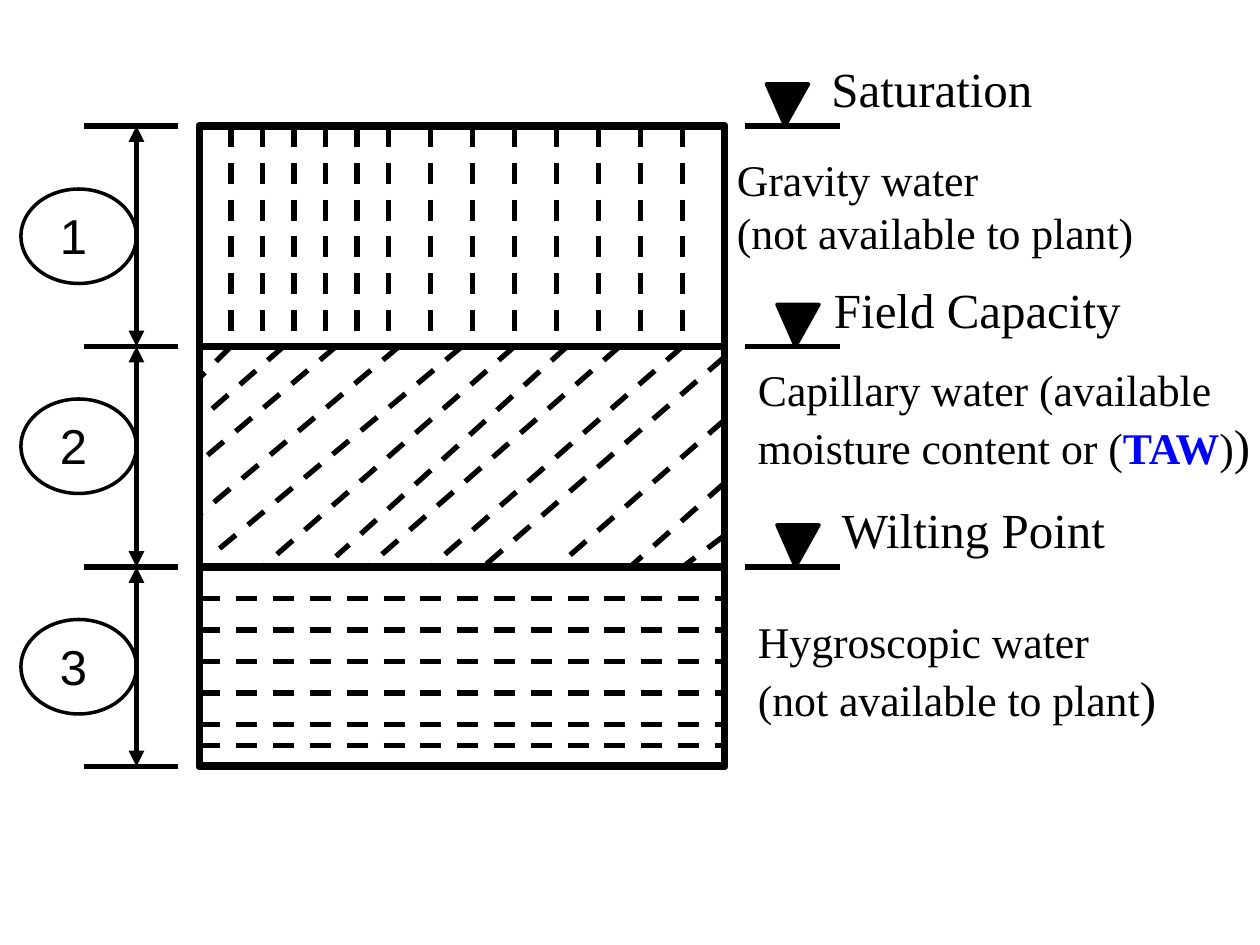
from lxml import etree
from pptx import Presentation
from pptx.dml.color import RGBColor
from pptx.enum.dml import MSO_LINE
from pptx.enum.shapes import MSO_CONNECTOR, MSO_SHAPE
from pptx.enum.text import PP_ALIGN
from pptx.oxml.ns import qn
from pptx.util import Pt

DASH = MSO_LINE.DASH
STRAIGHT = MSO_CONNECTOR.STRAIGHT
RECTANGLE, OVAL, TRIANGLE = MSO_SHAPE.RECTANGLE, MSO_SHAPE.OVAL, MSO_SHAPE.ISOSCELES_TRIANGLE
LEFT, CENTER = PP_ALIGN.LEFT, PP_ALIGN.CENTER

COLORS = {"ink": "000000", "accent": "0000FF"}
SERIF, SANS = "Times New Roman", "Arial"

TANK_LEFT, TANK_WIDTH = 114, 300
LEVELS = [72, 198, 324, 438]

DIAGONALS = [
    (18, 0, 0, 18), (48, 0, 0, 42), (78, 0, 0, 66), (114, 0, 0, 96),
    (150, 0, 6, 120), (180, 0, 36, 126), (210, 0, 78, 120),
    (240, 0, 96, 126), (276, 0, 132, 126), (300, 6, 162, 126),
    (300, 42, 204, 126), (300, 78, 246, 126), (300, 108, 276, 126),
]

MARKERS = [
    ("Saturation", 12, 42, 131),
    ("Field Capacity", 18, 43.5, 180),
    ("Wilting Point", 18, 48, 167),
]

NOTES = [
    (414, 12, 245, [[("Gravity water", {})], [("(not available to plant)", {})]]),
    (426, 6, 300, [
        [("Capillary water (available", {})],
        [("moisture content or (", {}), ("TAW", {"color": "accent", "bold": True}),
         (")", {}), (")", {"size": 28})],
    ]),
    (426, 24, 253, [
        [("Hygroscopic water", {})],
        [("(not available to plant", {}), (")", {"size": 28})],
    ]),
]


def rgb(name):
    return RGBColor.from_string(COLORS[name])


def add_text(slide, left, top, width, height, paragraphs, size=28, font=SERIF,
             align=LEFT, wrap=False):
    frame = slide.shapes.add_textbox(Pt(left), Pt(top), Pt(width), Pt(height)).text_frame
    frame.word_wrap = wrap
    for index, pieces in enumerate(paragraphs):
        paragraph = frame.paragraphs[0] if index == 0 else frame.add_paragraph()
        paragraph.alignment = align
        for words, style in pieces:
            run = paragraph.add_run()
            run.text = words
            run.font.name = font
            run.font.size = Pt(style.get("size", size))
            run.font.bold = style.get("bold", False)
            run.font.color.rgb = rgb(style.get("color", "ink"))


def add_outline(slide, preset, left, top, width, height, weight, fill=None):
    shape = slide.shapes.add_shape(preset, Pt(left), Pt(top), Pt(width), Pt(height))
    shape.shadow.inherit = False
    shape.line.color.rgb = rgb("ink")
    shape.line.width = Pt(weight)
    if fill:
        shape.fill.solid()
        shape.fill.fore_color.rgb = rgb(fill)
    else:
        shape.fill.background()
    return shape


def add_line(slide, x1, y1, x2, y2, dashed=False, arrows=False):
    connector = slide.shapes.add_connector(STRAIGHT, Pt(x1), Pt(y1), Pt(x2), Pt(y2))
    connector.line.color.rgb = rgb("ink")
    connector.line.width = Pt(3)
    if dashed:
        connector.line.dash_style = DASH
    if arrows:
        stroke = connector.line._get_or_add_ln()
        for end in ("a:headEnd", "a:tailEnd"):
            etree.SubElement(stroke, qn(end), type="triangle")
    etree.SubElement(connector._element.spPr, qn("a:effectLst"))


def draw_gravity_layer(slide, left, top, width, height):
    add_outline(slide, RECTANGLE, left, top, width, height, 4.5)
    for offset in [*range(18, 109, 18), *range(132, 277, 24)]:
        add_line(slide, left + offset, top, left + offset, top + height, dashed=True)


def draw_capillary_layer(slide, left, top):
    for x1, y1, x2, y2 in DIAGONALS:
        add_line(slide, left + x1, top + y1, left + x2, top + y2, dashed=True)


def draw_hygroscopic_layer(slide, left, top, width, height):
    add_outline(slide, RECTANGLE, left, top, width, height, 4.5)
    for offset in [*range(18, 91, 18), 102]:
        add_line(slide, left, top + offset, left + width, top + offset, dashed=True)


def draw_tank(slide, left, levels, width):
    surface, capacity, wilting, base = levels
    add_outline(slide, RECTANGLE, left, surface, width, base - surface, 4.5)
    draw_gravity_layer(slide, left, surface, width, capacity - surface)
    draw_capillary_layer(slide, left, capacity)
    draw_hygroscopic_layer(slide, left, wilting, width, base - wilting)


def draw_zone_scale(slide, left, levels):
    for level in levels:
        add_line(slide, left + 90, level, left + 36, level)
    circle_drops = [36, 30, 30]
    for number, (top, bottom, drop) in enumerate(zip(levels, levels[1:], circle_drops), 1):
        add_line(slide, left + 66, top, left + 66, bottom, arrows=True)
        add_text(slide, left + 12, top + drop + 6, 36, 41, [[(str(number), {})]],
                 font=SANS, align=CENTER, wrap=True)
        add_outline(slide, OVAL, left, top + drop, 66, 54, 2)


def draw_level_marker(slide, left, level, title, triangle_offset, title_offset, title_width):
    add_line(slide, left, level, left + 54, level)
    triangle = add_outline(slide, TRIANGLE, left + triangle_offset, level - 24, 24, 24, 2, "ink")
    triangle.adjustments[0] = 0.56
    triangle.rotation = 180
    add_text(slide, left + title_offset, level - 42, title_width, 41, [[(title, {})]])


def main():
    presentation = Presentation()
    presentation.slide_width, presentation.slide_height = Pt(720), Pt(540)
    slide = presentation.slides.add_slide(presentation.slide_layouts[6])
    draw_tank(slide, TANK_LEFT, LEVELS, TANK_WIDTH)
    draw_zone_scale(slide, 12, LEVELS)
    for level, marker, (note_left, drop, note_width, note) in zip(LEVELS, MARKERS, NOTES):
        draw_level_marker(slide, 426, level, *marker)
        add_text(slide, note_left, level + drop, note_width, 70, note, size=25)
    presentation.save("out.pptx")


if __name__ == "__main__":
    main()
